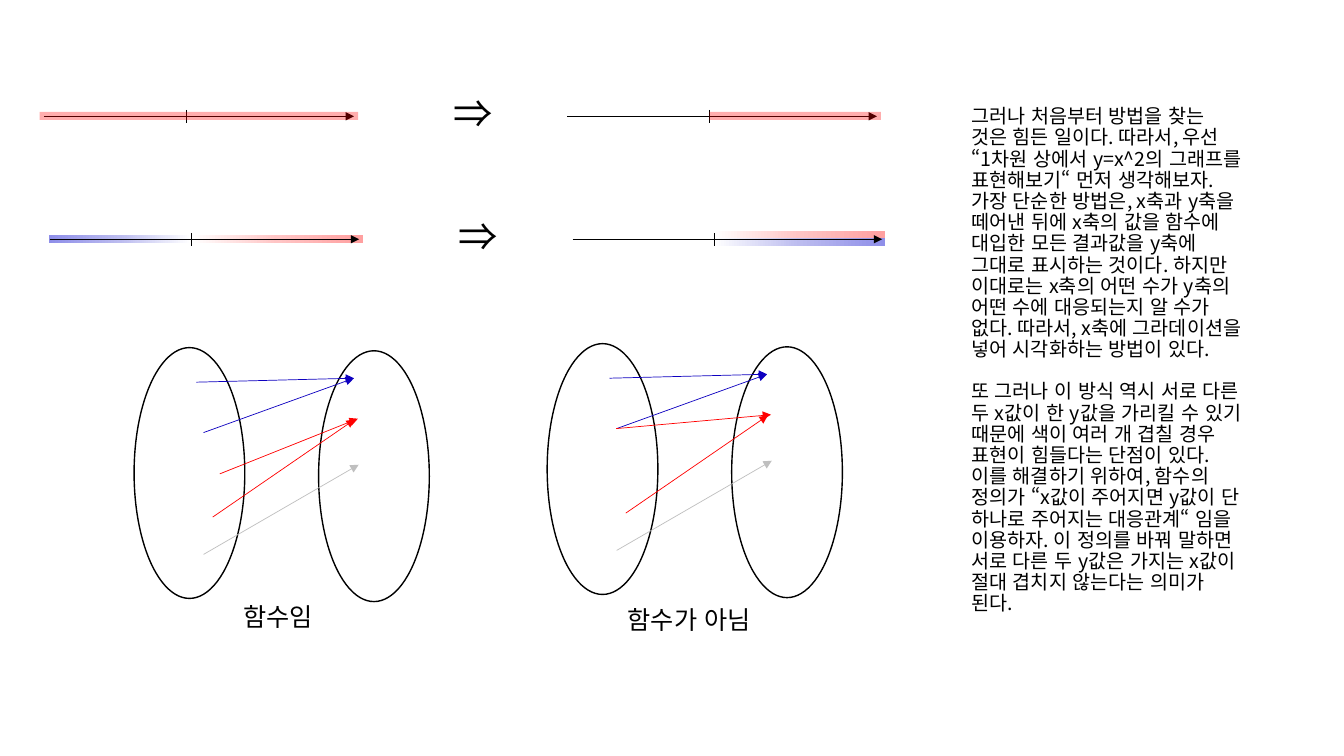
"""Draw number lines and set mappings that explain what a function is."""
from lxml.etree import SubElement
from pptx import Presentation
from pptx.dml.color import RGBColor as RGB
from pptx.enum.lang import MSO_LANGUAGE_ID as LANG
from pptx.enum.shapes import MSO_CONNECTOR as LINE, MSO_SHAPE as SHAPE
from pptx.enum.text import MSO_ANCHOR as ANCHOR
from pptx.oxml.ns import qn
from pptx.util import Cm, Pt

FONT = "Noto Sans CJK KR"
BLACK, BLUE, RED, GREY = "000000", "0E00C0", "FF0000", "BFBFBF"
ROSE = ["FFA0A0", "FFC5C5", "FFFFFF"]
LILAC = ["8F8FE9", "BCBCEF", "FFFFFF"]

ESSAY = [
    "그러나 처음부터 방법을 찾는 것은 힘든 일이다. 따라서, 우선 “1차원 상에서 y=x^2의 "
    "그래프를 표현해보기“ 먼저 생각해보자. 가장 단순한 방법은, x축과 y축을 떼어낸 뒤에 "
    "x축의 값을 함수에 대입한 모든 결과값을 y축에 그대로 표시하는 것이다. 하지만 이대로는 "
    "x축의 어떤 수가 y축의 어떤 수에 대응되는지 알 수가 없다. 따라서, x축에 그라데이션을 "
    "넣어 시각화하는 방법이 있다.",
    "또 그러나 이 방식 역시 서로 다른 두 x값이 한 y값을 가리킬 수 있기 때문에 색이 여러 개 "
    "겹칠 경우 표현이 힘들다는 단점이 있다. 이를 해결하기 위하여, 함수의 정의가 “x값이 "
    "주어지면 y값이 단 하나로 주어지는 대응관계“ 임을 이용하자. 이 정의를 바꿔 말하면 서로 "
    "다른 두 y값은 가지는 x값이 절대 겹치지 않는다는 의미가 된다.",
]

FADES = [
    (17.98, 5.82, 4.32, ROSE, 180),
    (17.98, 6.01, 4.32, LILAC, 180),
    (4.83, 5.92, 4.32, ROSE, 180),
    (1.24, 5.92, 3.58, LILAC, 0),
]
TINTS = [(1, 8.03), (17.88, 4.32)]
ROWS = [(0, 2.93), (0.13, 6.03)]
AXES = [1.12, 14.3]
REACH, ZERO, TICK = 7.8, 3.58, 0.16

SETS = [(3.38, 8.76), (8.03, 8.84)]
MAPS = [
    (4.95, 9.63, 8.92, 9.53, BLUE),
    (5.13, 10.9, 8.92, 9.53, BLUE),
    (5.54, 11.94, 9.02, 10.55, RED),
    (5.36, 13.03, 8.94, 10.57, RED),
    (5.13, 13.97, 9.04, 11.71, GREY),
]
SPLIT = (5.12, 10.9, 9.02, 10.55, RED)
CASES = [
    (0, 0, MAPS, ("함수임", 5.89, 15.04, 2.44)),
    (10.41, -0.1, MAPS[:2] + [SPLIT] + MAPS[3:], ("함수가 아님", 15.57, 15.11, 3.94)),
]


def paint(fmt, color):
    fmt.solid()
    fmt.fore_color.rgb = RGB.from_string(color)


def shape(kind, x, y, w, h):
    item = slide.shapes.add_shape(kind, Cm(x), Cm(y), Cm(w), Cm(h))
    item.shadow.inherit = False
    return item


def band(x, y, w):
    item = shape(SHAPE.RECTANGLE, x, y, w, 0.2)
    item.line.fill.background()
    return item


def fade(x, y, w, colors, angle):
    item = band(x, y, w)
    item.fill.gradient()
    grad = item._element.spPr.find(qn("a:gradFill"))
    stops = grad.find(qn("a:gsLst"))
    stops.clear()
    for pos, color in zip((0, 50000, 100000), colors):
        stop = SubElement(stops, qn("a:gs"), pos=str(pos))
        SubElement(stop, qn("a:srgbClr"), val=color)
    grad.find(qn("a:lin")).set("ang", str(angle * 60000))


def tint(x, w):
    item = band(x, 2.82, w)
    paint(item.fill, RED)
    color = item._element.spPr.find(".//" + qn("a:srgbClr"))
    SubElement(color, qn("a:alpha"), val="32000")


def line(x1, y1, x2, y2, color=BLACK, head=True):
    item = slide.shapes.add_connector(LINE.STRAIGHT, Cm(x1), Cm(y1), Cm(x2), Cm(y2))
    item.line.width = Pt(0.5)
    paint(item.line.fill, color)
    if head:
        SubElement(item.line._get_or_add_ln(), qn("a:tailEnd"), type="triangle")
    SubElement(item._element.spPr, qn("a:effectLst"))


def text(parts, x, y, w, h, size, wrap=False):
    frame = slide.shapes.add_textbox(Cm(x), Cm(y), Cm(w), Cm(h)).text_frame
    frame.word_wrap = wrap
    frame.text = "\n".join(parts)
    for para in frame.paragraphs:
        font = para.font
        font.size, font.name = Pt(size), FONT
        font.language_id = LANG.KOREAN
        paint(font.fill, BLACK)
        para._p.pPr.set("hangingPunct", "0")
    return frame


deck = Presentation()
deck.slide_width, deck.slide_height = Cm(33.87), Cm(19.05)
slide = deck.slides.add_slide(deck.slide_layouts[6])

for item in FADES:
    fade(*item)

for shift, y in ROWS:
    for start in AXES:
        x = start + shift
        line(x, y, x + REACH, y)
        line(x + ZERO, y - TICK, x + ZERO, y + TICK, head=False)
    text(["⇒"], 11.18 + shift, y - 0.8, 1.47, 1.45, 28)

for item in TINTS:
    tint(*item)

for dx, dy, maps, (label, x, y, w) in CASES:
    for left, top in SETS:
        oval = shape(SHAPE.OVAL, left + dx, top + dy, 2.79, 6.32)
        oval.fill.background()
        oval.line.width = Pt(1)
        paint(oval.line.fill, BLACK)
    for x1, y1, x2, y2, color in maps:
        line(x1 + dx, y1 + dy, x2 + dx, y2 + dy, color)
    text([label], x, y, w, 1.02, 18)

essay = text(ESSAY, 24.23, 1.02, 7.32, 16.15, 14, wrap=True)
essay.vertical_anchor = ANCHOR.MIDDLE
for para in essay.paragraphs:
    para.line_spacing = 0.9
essay.paragraphs[1].space_before = Pt(15)

deck.save("out.pptx")
